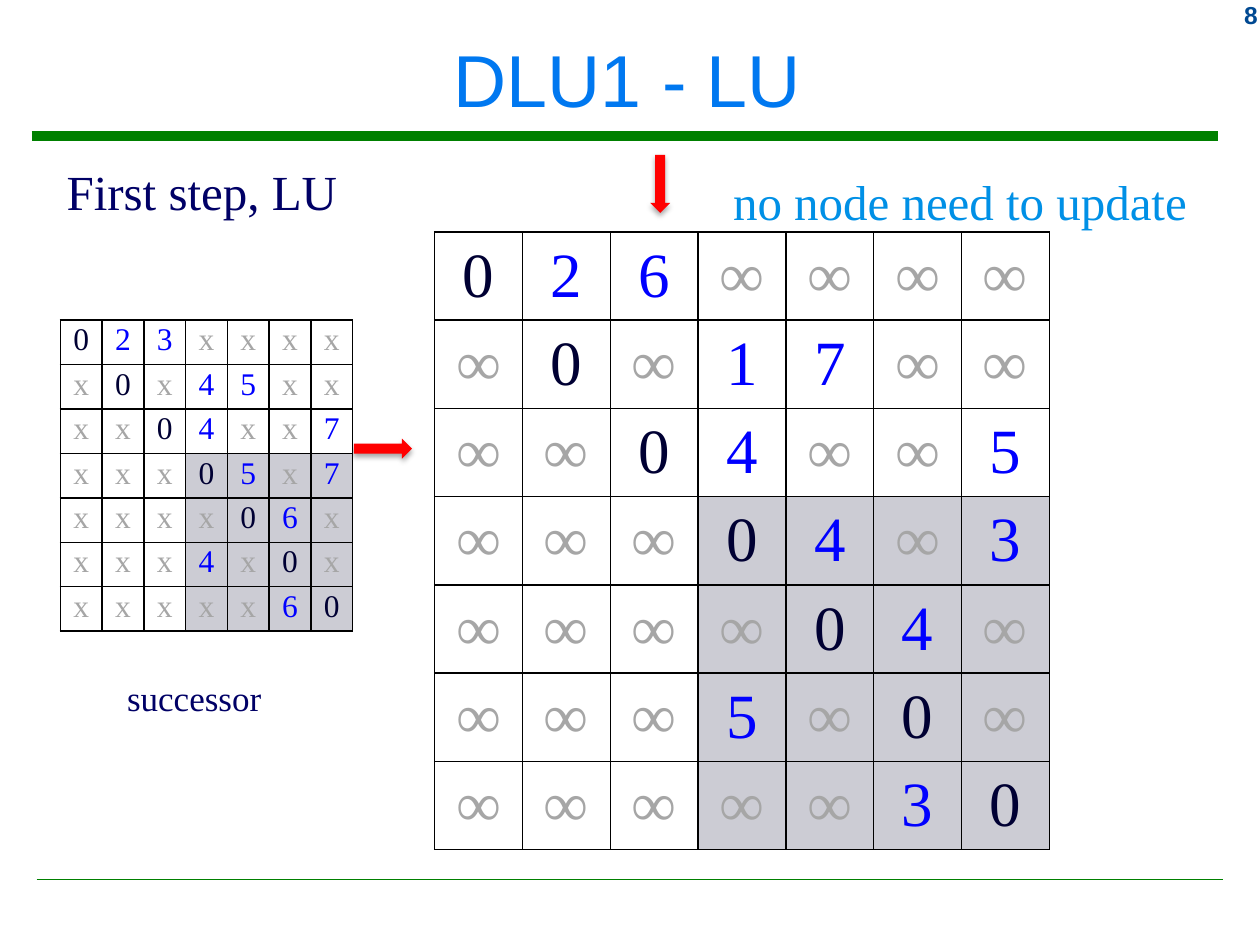
from lxml import etree
from pptx import Presentation
from pptx.dml.color import RGBColor
from pptx.enum.shapes import MSO_CONNECTOR, MSO_SHAPE
from pptx.enum.text import MSO_ANCHOR, PP_ALIGN
from pptx.oxml import parse_xml
from pptx.oxml.ns import nsdecls, qn
from pptx.util import Inches, Pt

LINE = MSO_CONNECTOR.STRAIGHT
ARROW = MSO_SHAPE.DOWN_ARROW
TOP, MIDDLE = MSO_ANCHOR.TOP, MSO_ANCHOR.MIDDLE
LEFT, CENTER, RIGHT = PP_ALIGN.LEFT, PP_ALIGN.CENTER, PP_ALIGN.RIGHT

WHITE = RGBColor(0xFF, 0xFF, 0xFF)
GREEN = RGBColor(0x00, 0x80, 0x00)
RED = RGBColor(0xFF, 0x00, 0x00)
NAVY = RGBColor(0x00, 0x00, 0x66)
SKY = RGBColor(0x00, 0x90, 0xE6)
AZURE = RGBColor(0x00, 0x78, 0xF0)
PAGE = RGBColor(0x00, 0x49, 0x92)
INK = RGBColor(0x00, 0x00, 0x33)
BLUE = RGBColor(0x00, 0x00, 0xFF)
GRAY = RGBColor(0xA6, 0xA6, 0xA6)
SHADE = RGBColor(0xCC, 0xCC, 0xD4)

SANS, SERIF = "Arial", "Times New Roman"

COSTS = ["026∞∞∞∞", "∞0∞17∞∞", "∞∞04∞∞5", "∞∞∞04∞3",
         "∞∞∞∞04∞", "∞∞∞5∞0∞", "∞∞∞∞∞30"]
NEXT = ["023xxxx", "x0x45xx", "xx04xx7", "xxx05x7",
        "xxxx06x", "xxx4x0x", "xxxxx60"]
DONE = 3  # rows and columns before the shaded block


def write(frame, text, size, color, font=SERIF, bold=False, align=LEFT):
    para = frame.paragraphs[0]
    para.alignment = align
    run = para.add_run()
    run.text = text
    run.font.name = font
    run.font.size = Pt(size)
    run.font.bold = bold
    run.font.color.rgb = color


def add_label(slide, box, text, size, color, wrap=False, **style):
    frame = slide.shapes.add_textbox(*map(Inches, box)).text_frame
    frame.word_wrap = wrap
    write(frame, text, size, color, **style)


def add_rule(slide, left, right, y, width):
    rule = slide.shapes.add_connector(
        LINE, Inches(left), Inches(y), Inches(right), Inches(y))
    rule.line.color.rgb = GREEN
    rule.line.width = Pt(width)
    etree.SubElement(rule._element.spPr, qn("a:effectLst"))


def add_arrow(slide, left, top, turn=0):
    arrow = slide.shapes.add_shape(
        ARROW, Inches(left), Inches(top), Inches(0.16), Inches(0.46))
    arrow.rotation = turn
    arrow.fill.solid()
    arrow.fill.fore_color.rgb = RED
    arrow.line.fill.background()
    # Soft shadow straight below
    arrow.shadow.inherit = False
    effects = arrow._element.spPr.find(qn("a:effectLst"))
    effects.append(parse_xml(
        f'<a:outerShdw {nsdecls("a")} blurRad="{Pt(3.1)}" dist="{Pt(1.8)}" '
        'dir="5400000" rotWithShape="0"><a:srgbClr val="000000">'
        '<a:alpha val="35000"/></a:srgbClr></a:outerShdw>'))


def add_borders(cell):
    props = cell._tc.get_or_add_tcPr()
    for spot, side in enumerate(("lnL", "lnR", "lnT", "lnB")):
        props.insert(spot, parse_xml(
            f'<a:{side} {nsdecls("a")} w="{Pt(1)}"><a:solidFill>'
            f'<a:srgbClr val="000000"/></a:solidFill></a:{side}>'))


def add_matrix(slide, box, rows, size, anchor, pad_x, pad_y):
    count = len(rows)
    left, top, width, height = map(Inches, box)
    table = slide.shapes.add_table(
        count, count, left, top, width, height).table
    table.first_row = table.horz_banding = False
    for i, row in enumerate(rows):
        for j, mark in enumerate(row):
            cell = table.cell(i, j)
            cell.margin_left = cell.margin_right = Inches(pad_x)
            cell.margin_top = cell.margin_bottom = Inches(pad_y)
            cell.vertical_anchor = anchor
            cell.fill.solid()
            cell.fill.fore_color.rgb = SHADE if min(i, j) >= DONE else WHITE
            add_borders(cell)
            color = INK if i == j else BLUE if mark.isdigit() else GRAY
            write(cell.text_frame, mark, size, color, align=CENTER)


def add_title(slide, text):
    title = slide.shapes.title
    title.left, title.top = Inches(0.08), Inches(0.09)
    title.width, title.height = Inches(9.8), Inches(1.06)
    title.text_frame.vertical_anchor = MIDDLE
    write(title.text_frame, text, 42, AZURE, font=SANS, align=CENTER)


def main():
    deck = Presentation()
    deck.slide_width, deck.slide_height = Inches(10), Inches(7.5)
    slide = deck.slides.add_slide(deck.slide_layouts[5])

    # Frame: rules, page number, title
    add_rule(slide, 0.25, 9.67, 1.08, 5.25)
    add_rule(slide, 0.29, 9.71, 6.98, 1)
    add_label(slide, (9.17, -0.05, 0.91, 0.33), "8", 14, PAGE,
              wrap=True, font=SANS, bold=True, align=RIGHT)
    add_title(slide, "DLU1 - LU")

    # Arrows to the current column and row
    add_arrow(slide, 5.16, 1.23)
    add_arrow(slide, 2.96, 3.33, turn=270)

    # Distance and successor matrices
    add_matrix(slide, (3.45, 1.84, 4.88, 4.9), COSTS, 36, MIDDLE, 0.1, 0.05)
    add_matrix(slide, (0.48, 2.54, 2.32, 2.47), NEXT, 18, TOP, 0.05, 0.02)

    # Captions
    add_label(slide, (0.43, 1.23, 2.38, 0.57), "First step, LU", 28, NAVY)
    add_label(slide, (0.91, 5.32, 1.28, 0.44), "successor", 20, NAVY)
    add_label(slide, (5.72, 1.31, 3.84, 0.57), "no node need to update",
              28, SKY)

    deck.save("out.pptx")


if __name__ == "__main__":
    main()
